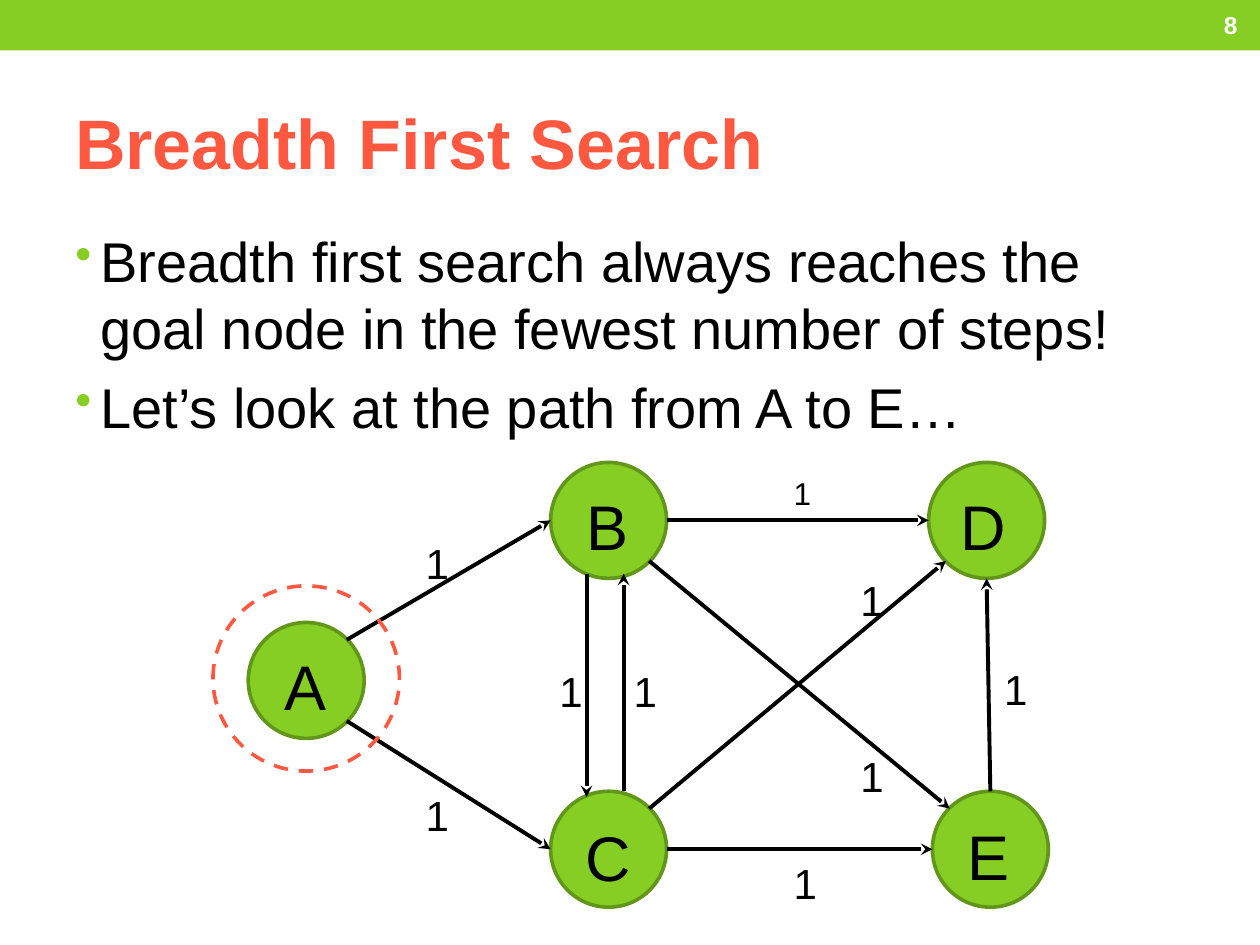
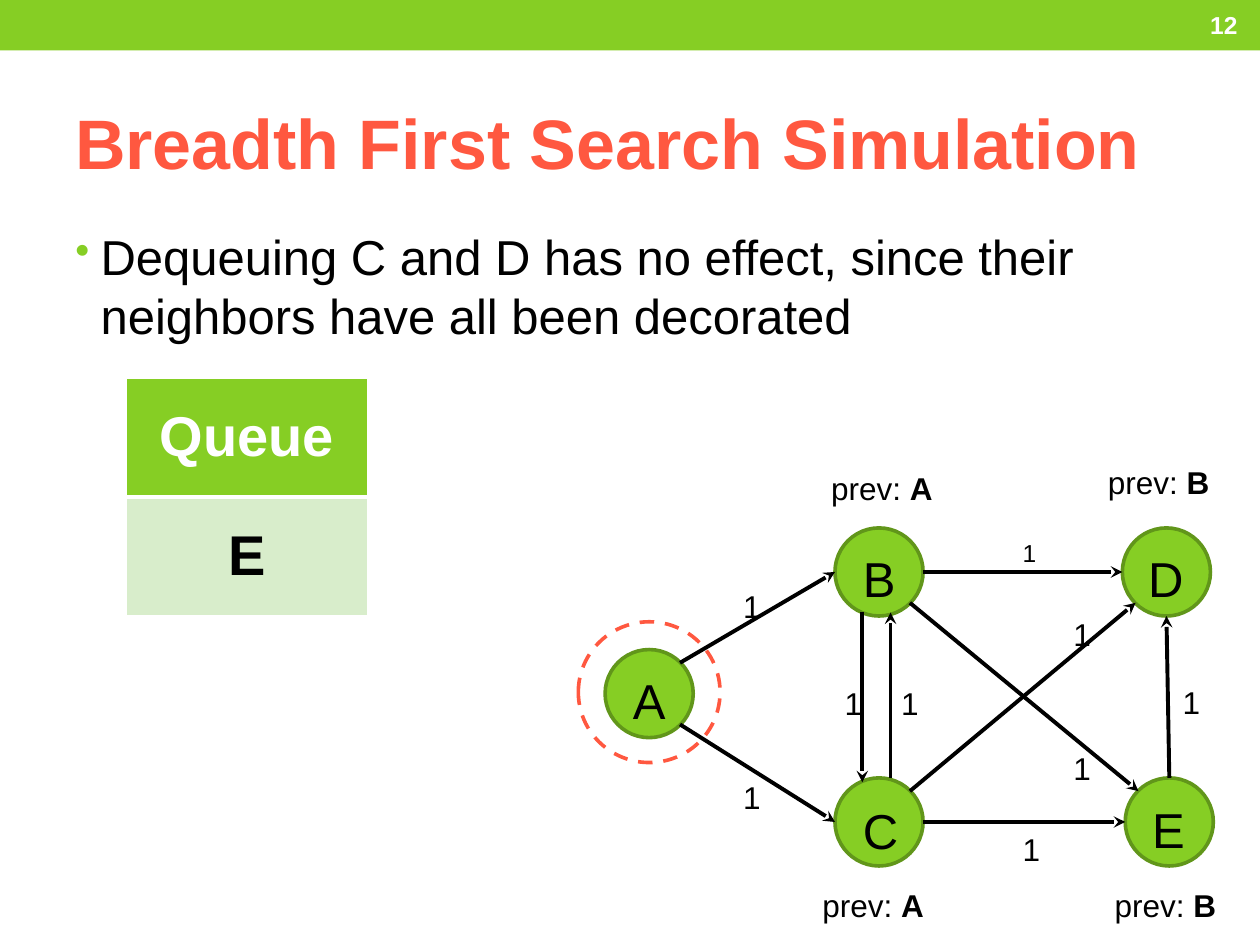
from dataclasses import dataclass

from lxml.etree import SubElement
from pptx import Presentation
from pptx.dml.color import RGBColor
from pptx.enum.dml import MSO_LINE
from pptx.enum.shapes import MSO_CONNECTOR, MSO_SHAPE
from pptx.enum.text import MSO_ANCHOR, PP_ALIGN
from pptx.oxml.ns import qn
from pptx.util import Inches, Pt

GREEN = RGBColor(0x86, 0xCE, 0x24)
DARK_GREEN = RGBColor(0x61, 0x96, 0x1A)
PALE_GREEN = RGBColor(0xD8, 0xED, 0xCB)
CORAL = RGBColor(0xFF, 0x58, 0x40)
BLACK = RGBColor(0, 0, 0)
WHITE = RGBColor(255, 255, 255)
FONT = "Arial"
CELL = Inches(0.1)
COLUMNS, ROWS = 100, 75


@dataclass
class Box:
    """A region measured in columns and rows of the slide grid."""

    left: float
    top: float
    width: float
    height: float

    def emu(self):
        """Return left, top, width and height in slide units."""
        return [round(n * CELL) for n in (self.left, self.top, self.width, self.height)]

    def inner(self, left, top, width, height, scale=1):
        """Return a box placed relative to this one."""
        return Box(self.left + left * scale, self.top + top * scale, width * scale, height * scale)

    def point(self, across, down):
        """Return the point at the given shares of this box."""
        return (round((self.left + across * self.width) * CELL),
                round((self.top + down * self.height) * CELL))


BAND = Box(0, 0, COLUMNS, 4)
TITLE = Box(5, 5.8, 90, 10.8)
BODY = Box(5, 17.5, 90, 53.3)
NUMBER = Box(87.5, 0.2, 11.7, 3.6)

GRAPH_COLUMNS = 66.3
DIAMETER = 9.2
NODES = {"A": (2.8, 12.7), "B": (26.8, 0), "C": (26.8, 26.1), "D": (56.8, 0), "E": (57.1, 26.1)}
LETTER_OFFSETS = {"A": (1.6, 1.5), "B": (1.6, 1.5), "C": (1.6, 1.7), "D": (1.4, 1.5), "E": (1.5, 1.6)}
LEFT, RIGHT, TOP, BOTTOM = (0, 0.5), (1, 0.5), (0.5, 0), (0.5, 1)
LOWER_LEFT, LOWER_RIGHT = (0.15, 0.85), (0.85, 0.85)
UPPER_LEFT, UPPER_RIGHT = (0.15, 0.15), (0.85, 0.15)
EDGES = [
    ("A", UPPER_RIGHT, "B", LEFT, (15.9, 5.5)),
    ("A", LOWER_RIGHT, "C", LEFT, (15.9, 25.5)),
    ("B", (0.31, 0.96), "C", (0.31, 0.05), (26.5, 15.6)),
    ("C", (0.63, 0), "B", (0.63, 0.96), (32.4, 15.6)),
    ("B", RIGHT, "D", LEFT, (45.1, 0.4)),
    ("B", LOWER_RIGHT, "E", UPPER_LEFT, (50.4, 22.4)),
    ("E", TOP, "D", BOTTOM, (61.8, 15.5)),
    ("C", RIGHT, "E", LEFT, (45.1, 30.9)),
    ("C", UPPER_RIGHT, "D", LOWER_LEFT, (50.4, 8.4)),
]
PREVIOUS = [("A", 25.1, -6.8), ("A", 24.2, 36.7), ("B", 54, -7.4), ("B", 54.7, 36.7)]


def style(runs, size, color=BLACK, bold=False):
    """Give runs the shared font with a size, colour and weight."""
    for run in runs:
        run.font.name, run.font.size = FONT, Pt(size)
        run.font.color.rgb, run.font.bold = color, bold


def add_text(slide, box, lines, size, color=BLACK, bold=False, align=PP_ALIGN.LEFT, anchor=MSO_ANCHOR.TOP):
    """Add wrapped text, one paragraph a line, and return its frame."""
    frame = slide.shapes.add_textbox(*box.emu()).text_frame
    frame.word_wrap = True
    frame.vertical_anchor = anchor
    frame.text = "\n".join(lines)
    for paragraph in frame.paragraphs:
        paragraph.alignment = align
        style(paragraph.runs, size, color, bold)
    return frame


def add_ellipse(slide, box, line_color, fill=None):
    """Add an outlined ellipse, filled when a colour is given."""
    ellipse = slide.shapes.add_shape(MSO_SHAPE.OVAL, *box.emu())
    ellipse.shadow.inherit = False
    if fill is None:
        ellipse.fill.background()
    else:
        ellipse.fill.solid()
        ellipse.fill.fore_color.rgb = fill
    ellipse.line.color.rgb, ellipse.line.width = line_color, Pt(2.08)
    return ellipse


def add_arrow(slide, start, end):
    """Add a black arrow between two points."""
    arrow = slide.shapes.add_connector(MSO_CONNECTOR.STRAIGHT, *start, *end)
    arrow.line.color.rgb, arrow.line.width = BLACK, Pt(2.25)
    properties = arrow._element.spPr
    SubElement(properties.find(qn("a:ln")), qn("a:tailEnd"), type="stealth")
    SubElement(properties, qn("a:effectLst"))


def add_bullets(slide, box, lines, size):
    """Add the body text with green bullets."""
    for index, paragraph in enumerate(add_text(slide, box, lines, size).paragraphs):
        if index:
            paragraph.space_before = Pt(6.4)
        properties = paragraph._p.get_or_add_pPr()
        properties.set("marL", str(Inches(0.2)))
        properties.set("indent", str(-Inches(0.2)))
        color = SubElement(properties, qn("a:buClr"))
        SubElement(color, qn("a:srgbClr"), val=str(GREEN))
        SubElement(properties, qn("a:buSzPct"), val="85000")
        SubElement(properties, qn("a:buChar"), char="•")


def add_page(deck, title, number, bullets, bullet_size):
    """Add a slide with band, title, page number and bullets."""
    slide = deck.slides.add_slide(deck.slide_layouts[6])
    band = slide.shapes.add_shape(MSO_SHAPE.RECTANGLE, *BAND.emu())
    band.shadow.inherit = False
    band.fill.solid()
    band.fill.fore_color.rgb = GREEN
    band.line.fill.background()
    add_text(slide, TITLE, [title], 40, CORAL, True, anchor=MSO_ANCHOR.MIDDLE)
    add_bullets(slide, BODY, bullets, bullet_size)
    add_text(slide, NUMBER, [str(number)], 14, WHITE, True, PP_ALIGN.RIGHT, MSO_ANCHOR.MIDDLE)
    return slide


def add_graph(slide, box, letter_size, weight_size, small_weight_size):
    """Draw the weighted graph, with node A ringed, scaled to its box."""
    scale = box.width / GRAPH_COLUMNS
    nodes = {name: box.inner(*place, DIAMETER, DIAMETER, scale) for name, place in NODES.items()}
    for name, node in nodes.items():
        add_ellipse(slide, node, DARK_GREEN, GREEN)
        letter_box = node.inner(*LETTER_OFFSETS[name], 5.9, 6, scale)
        add_text(slide, letter_box, [name], letter_size, align=PP_ALIGN.CENTER)
    for source, leaving, target, arriving, weight_place in EDGES:
        add_arrow(slide, nodes[source].point(*leaving), nodes[target].point(*arriving))
        size = small_weight_size if source + target == "BD" else weight_size
        add_text(slide, box.inner(*weight_place, 2.8, 5, scale), ["1"], size)
    ring = add_ellipse(slide, box.inner(0, 9.8, 14.8, 14.7, scale), CORAL)
    ring.line.dash_style = MSO_LINE.DASH


def add_previous_labels(slide, box):
    """Label the decorated nodes with their predecessors."""
    scale = box.width / GRAPH_COLUMNS
    for previous, column, row in PREVIOUS:
        label = add_text(slide, box.inner(column, row, 14.2, 5.3, scale), ["prev: "], 18)
        name = label.paragraphs[0].add_run()
        name.text = previous
        style([name], 18, bold=True)


def add_borders(cell, bottom_width):
    """Draw white borders round a table cell."""
    properties = cell._tc.get_or_add_tcPr()
    for side, width in (("L", 1), ("R", 1), ("T", 1), ("B", bottom_width)):
        border = SubElement(properties, qn(f"a:ln{side}"), w=str(Pt(width)))
        fill = SubElement(border, qn("a:solidFill"))
        SubElement(fill, qn("a:srgbClr"), val=str(WHITE))


def add_queue(slide, box, entries):
    """Add the queue as a one-column table under its heading."""
    queue = slide.shapes.add_table(len(entries) + 1, 1, *box.emu()).table
    for row, entry in enumerate(["Queue", *entries]):
        cell = queue.cell(row, 0)
        cell.text = entry
        cell.vertical_anchor = MSO_ANCHOR.MIDDLE
        paragraph = cell.text_frame.paragraphs[0]
        paragraph.alignment = PP_ALIGN.CENTER
        style(paragraph.runs, 32, BLACK if row else WHITE, True)
        add_borders(cell, 1 if row else 3)
        cell.fill.solid()
        cell.fill.fore_color.rgb = PALE_GREEN if row else GREEN


def main():
    """Build both slides and save the deck."""
    deck = Presentation()
    deck.slide_width, deck.slide_height = COLUMNS * CELL, ROWS * CELL

    search = add_page(deck, "Breadth First Search", 8, [
        "Breadth first search always reaches the goal node in the fewest number of steps!",
        "Let’s look at the path from A to E…"], 32)
    add_graph(search, Box(16.9, 36.7, 66.3, 35.3), 36, 24, 18)

    simulation = add_page(deck, "Breadth First Search Simulation", 12, [
        "Dequeuing C and D has no effect, since their neighbors have all been decorated"], 28)
    graph = Box(45.9, 41.9, 50.4, 26.9)
    add_graph(simulation, graph, 28, 18, 14)
    add_queue(simulation, Box(10, 30, 19.2, 18.9), ["E"])
    add_previous_labels(simulation, graph)

    deck.save("out.pptx")


if __name__ == "__main__":
    main()
